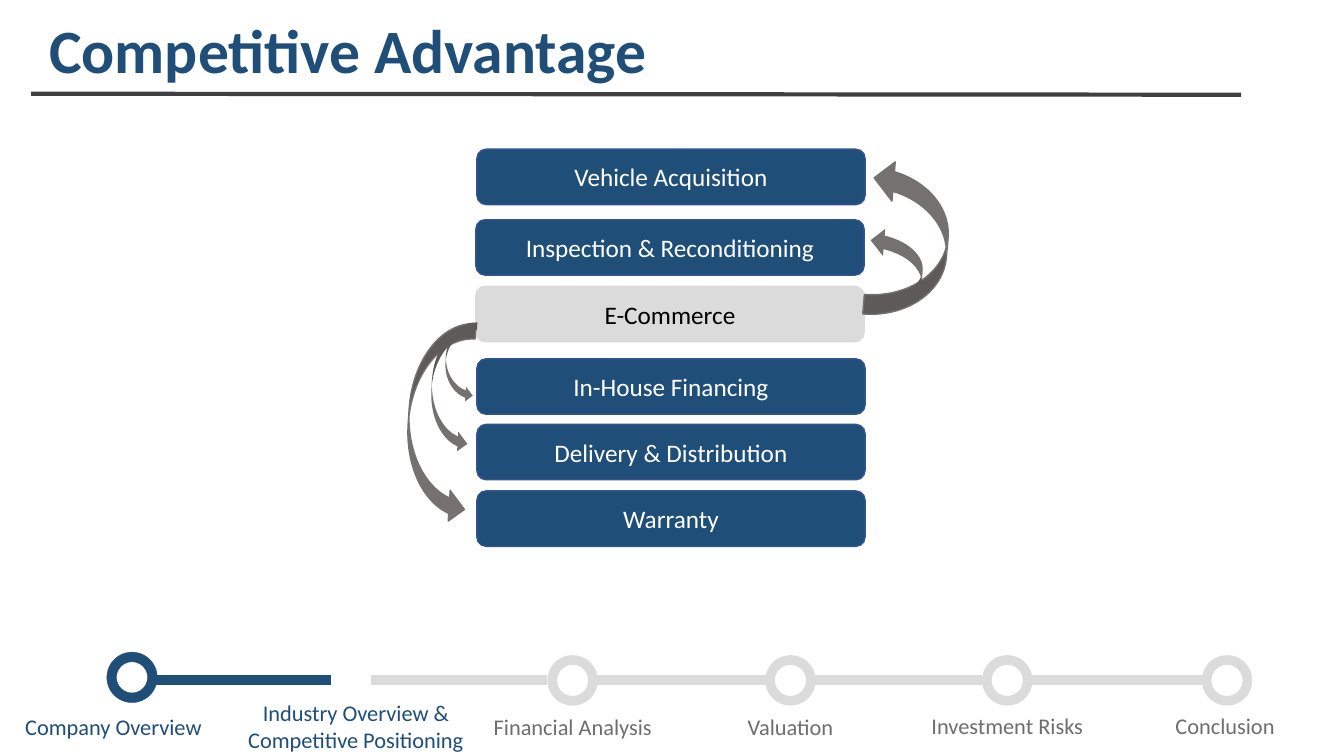
from lxml import etree
from pptx import Presentation
from pptx import util as u
from pptx.dml.color import RGBColor
from pptx.enum import shapes, text
from pptx.oxml import ns

PX = 9144  # EMU per px, 100 px to the inch
FONT = "Calibri"
COLORS = {
    "navy": "1F4E79", "navy_edge": "325491", "pale": "DBDBDB", "label": "6E6E6E",
    "rule": "404040", "arrow": "767171", "white": "FFFFFF", "black": "000000",
}

STEP_SIZE = (385, 55)
STEPS = [  # label, left, top
    ("Vehicle Acquisition", 473, 148),
    ("Inspection & Reconditioning", 472, 218),
    ("E-Commerce", 472, 284),
    ("In-House Financing", 473, 356),
    ("Delivery & Distribution", 473, 421),
    ("Warranty", 473, 487),
]
LINKS = [  # left, top, width, height, rotation, edge
    (862, 160, 78, 155, 184.8, "arrow"),
    (861, 227, 54, 85, 184.8, None),
    (405, 319, 61, 200, 3.6, "arrow"),
    (428, 321, 39, 128, 3.6, None),
    (442, 319, 29, 80, 3.6, None),
]
SECTIONS = [  # label, left, top, width, height, colour
    ("Company Overview", 7, 703, 211, 37, "navy"),
    ("Industry Overview & Competitive Positioning", 235, 689, 236, 64, "navy"),
    ("Financial Analysis", 479, 703, 178, 37, "label"),
    ("Valuation", 695, 703, 178, 37, "label"),
    ("Investment Risks", 910, 702, 178, 37, "label"),
    ("Conclusion", 1126, 702, 178, 37, "label"),
]
TRACK_Y, TRACK_LENGTH = 675, 175
TRACKS = [(153, "navy"), (368, "pale"), (590, "pale"), (799, "pale"), (1024, "pale")]
MARKER_SIZE = 50
MARKERS = [  # left, top, colour, edge
    (106, 647, "navy", "navy"),
    (543, 650, "pale", None),
    (759, 650, "pale", None),
    (974, 650, "pale", None),
    (1192, 650, "pale", None),
]


def px(*lengths):
    return [u.Emu(length * PX) for length in lengths]


def rgb(name):
    return RGBColor.from_string(COLORS[name])


def write(frame, words, size, color, align, anchor, bold=False):
    frame.word_wrap = True
    frame.vertical_anchor = anchor
    paragraph = frame.paragraphs[0]
    paragraph.alignment = align
    run = paragraph.add_run()
    run.text = words
    run.font.name = FONT
    run.font.size = u.Pt(size)
    run.font.bold = bold
    run.font.color.rgb = rgb(color)
    return paragraph


def add_title(slide, words):
    title = slide.shapes.add_textbox(*px(39, 14, 1150, 79))
    paragraph = write(title.text_frame, words, 44, "navy", text.PP_ALIGN.LEFT,
                      text.MSO_ANCHOR.MIDDLE, bold=True)
    paragraph.line_spacing = 0.9


def add_section(slide, words, left, top, width, height, color):
    section = slide.shapes.add_textbox(*px(left, top, width, height))
    write(section.text_frame, words, 16, color, text.PP_ALIGN.CENTER, text.MSO_ANCHOR.TOP)


def add_line(slide, start, end, color, weight):
    line = slide.shapes.add_connector(shapes.MSO_CONNECTOR.STRAIGHT, *px(*start, *end))
    line.line.color.rgb = rgb(color)
    line.line.width = u.Pt(weight)
    etree.SubElement(line._element.spPr, ns.qn("a:effectLst"))


def add_figure(slide, kind, box, fill, edge=None, weight=1):
    figure = slide.shapes.add_shape(kind, *px(*box))
    figure.shadow.inherit = False
    figure.fill.solid()
    figure.fill.fore_color.rgb = rgb(fill)
    if edge:
        figure.line.color.rgb = rgb(edge)
        figure.line.width = u.Pt(weight)
    else:
        figure.line.fill.background()
    return figure


def add_step(slide, words, left, top):
    """Draw one business step; the e-commerce hub is the pale one."""
    is_hub = words == "E-Commerce"
    fill, edge, ink = ("pale", "pale", "black") if is_hub else ("navy", "navy_edge", "white")
    step = add_figure(slide, shapes.MSO_SHAPE.ROUNDED_RECTANGLE,
                      (left, top, *STEP_SIZE), fill, edge)
    write(step.text_frame, words, 18, ink, text.PP_ALIGN.CENTER, text.MSO_ANCHOR.MIDDLE)


def add_link(slide, left, top, width, height, rotation, edge):
    link = add_figure(slide, shapes.MSO_SHAPE.CURVED_RIGHT_ARROW,
                      (left, top, width, height), "arrow", edge)
    link.rotation = rotation


def add_marker(slide, left, top, color, edge):
    marker = add_figure(slide, shapes.MSO_SHAPE.DONUT,
                        (left, top, MARKER_SIZE, MARKER_SIZE), color, edge, 0.25)
    marker.adjustments[0] = 0.19


def main():
    deck = Presentation()
    deck.slide_width, deck.slide_height = px(1333, 750)
    slide = deck.slides.add_slide(deck.slide_layouts[6])

    add_title(slide, "Competitive Advantage")
    add_line(slide, (31, 93), (1231, 94), "rule", 3)
    for left, color in TRACKS:
        add_line(slide, (left, TRACK_Y), (left + TRACK_LENGTH, TRACK_Y), color, 7)
    for marker in MARKERS:
        add_marker(slide, *marker)
    for section in SECTIONS:
        add_section(slide, *section)
    for step in STEPS:
        add_step(slide, *step)
    for link in LINKS:
        add_link(slide, *link)

    deck.save("out.pptx")


if __name__ == "__main__":
    main()
